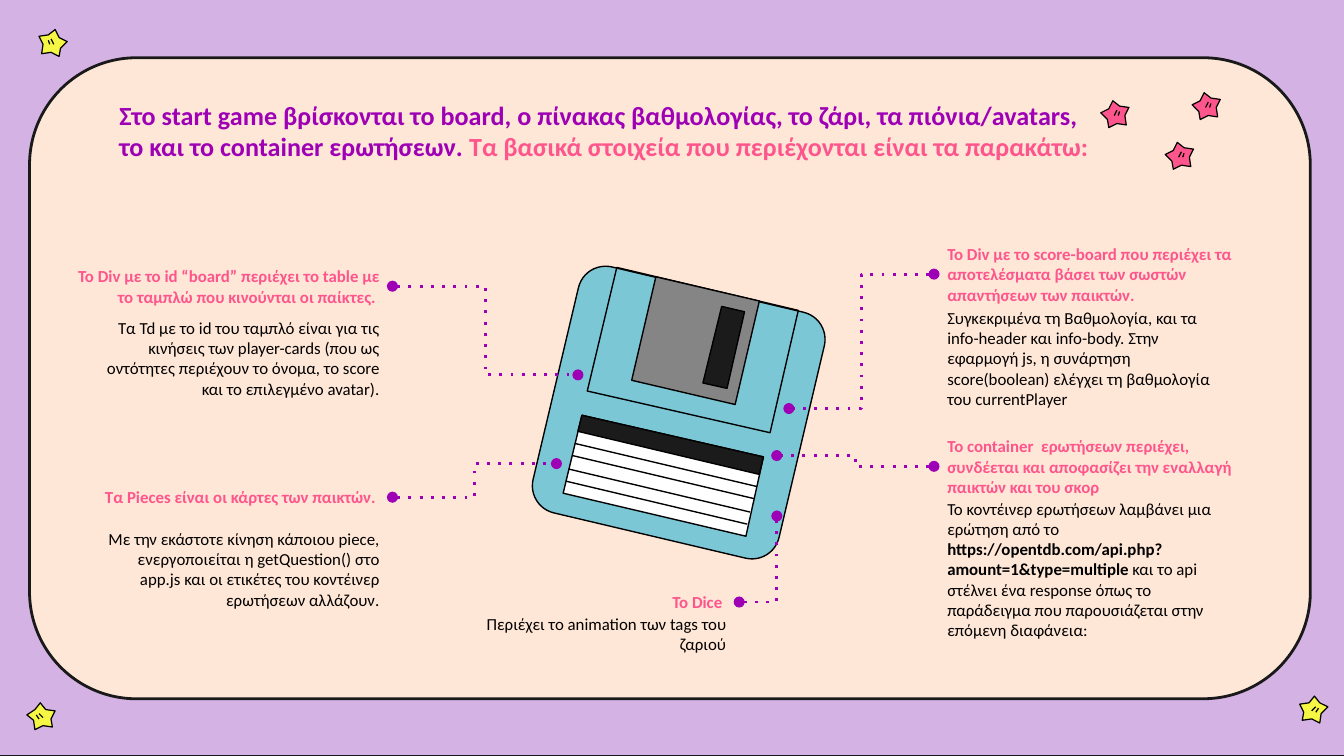
from dataclasses import dataclass
from math import cos, radians, sin

from lxml import etree
from pptx import Presentation
from pptx.dml.color import RGBColor
from pptx.enum.shapes import MSO_CONNECTOR, MSO_SHAPE
from pptx.enum.text import MSO_ANCHOR, PP_ALIGN
from pptx.oxml.ns import qn
from pptx.util import Pt

PX = 9144
SLIDE_WIDTH = 1000 * PX
ROUNDED = MSO_SHAPE.ROUNDED_RECTANGLE
STRAIGHT, ELBOW = MSO_CONNECTOR.STRAIGHT, MSO_CONNECTOR.ELBOW
MIDDLE = MSO_ANCHOR.MIDDLE
LEFT, RIGHT = PP_ALIGN.LEFT, PP_ALIGN.RIGHT
LEFT_SITE, RIGHT_SITE = 1, 3
COLORS = {
    "lilac": "D4B2E4", "peach": "FFE7D7", "ink": "191919", "black": "000000",
    "yellow": "F6F645", "pink": "FE558C", "purple": "9E00B5", "disk": "7BC7D6",
    "metal": "858585", "slot": "1B1B1B", "white": "FFFFFF",
}
STAR_WIDTH = 21
STAR_POINTS = [(9, 0), (14, 4), (21, 5), (18, 11), (19, 18),
               (12, 17), (6, 20), (5, 14), (0, 9), (6, 6)]
STAR_EYES = [[(14, 8), (13, 11)], [(12, 7), (10, 11)]]


@dataclass
class Star:
    left: int
    top: int
    color: str
    mirrored: bool = False
    rotation: float = 0


@dataclass
class DiskPart:
    color: str | None
    corners: list[tuple[int, int]]


@dataclass
class Callout:
    heading: str
    heading_box: tuple[int, int, int, int]
    body: list[tuple[str, bool]]
    body_box: tuple[int, int, int, int]
    align: PP_ALIGN
    target: tuple[int, int]
    geometry: str = "bentConnector3"


STARS = [
    Star(29, 22, "yellow", mirrored=True),
    Star(966, 518, "yellow", rotation=17.8),
    Star(21, 523, "yellow", mirrored=True, rotation=-18.6),
    Star(887, 69, "pink"), Star(819, 75, "pink"), Star(867, 106, "pink"),
]
DISK_PARTS = [
    DiskPart(None, [(459, 199), (594, 231), (573, 322), (437, 291)]),
    DiskPart("metal", [(488, 206), (470, 283), (547, 301), (565, 224)]),
    DiskPart("slot", [(537, 228), (523, 285), (541, 289), (554, 232)]),
    DiskPart("white", [(433, 309), (419, 367), (555, 399), (568, 340)]),
    DiskPart("slot", [(433, 309), (430, 321), (565, 353), (568, 340)]),
]
TITLE = [
    ("Στο start game βρίσκονται το board, o πίνακας βαθμολογίας, το ζάρι, τα πιόνια/avatars, "
     "το και το container ερωτήσεων. ", "purple", True),
    ("Τα βασικά στοιχεία που περιέχονται είναι τα παρακάτω:", "pink", True),
]
CALLOUTS = [
    Callout("Το Div με το id “board” περιέχει το table με το ταμπλώ που κινούνται οι παίκτες. ",
            (43, 184, 249, 58),
            [("Τα Td με το id του ταμπλό είναι για τις κινήσεις των player-cards (που ως οντότητες "
              "περιέχουν το όνομα, το score και το επιλεγμένο avatar).", False)],
            (66, 240, 226, 53), RIGHT, (430, 279)),
    Callout("To Div με το score-board που περιέχει τα αποτελέσματα βάσει των σωστών απαντήσεων "
            "των παικτών.",
            (695, 166, 249, 76),
            [("Συγκεκριμένα τη Βαθμολογία, και τα info-header και info-body. Στην εφαρμογή js, "
              "η συνάρτηση score(boolean) ελέγχει τη βαθμολογία του currentPlayer", False)],
            (695, 240, 226, 53), LEFT, (587, 304)),
    Callout("Τα Pieces είναι οι κάρτες των παικτών. ",
            (43, 341, 249, 58),
            [("Με την εκάστοτε κίνηση κάποιου piece, ενεργοποιείται η getQuestion() στο app.js "
              "και οι ετικέτες του κοντέινερ ερωτήσεων αλλάζουν.", False)],
            (66, 397, 226, 53), RIGHT, (414, 345)),
    Callout("Το container  ερωτήσεων περιέχει, συνδέεται και αποφασίζει την εναλλαγή παικτών "
            "και του σκορ",
            (695, 310, 249, 74),
            [("Το κοντέινερ ερωτήσεων λαμβάνει μια ερώτηση από τo ", False),
             ("https://opentdb.com/api.php?amount=1&type=multiple ", True),
             ("και το api στέλνει ένα response όπως το παράδειγμα που παρουσιάζεται στην "
              "επόμενη διαφάνεια:", False)],
            (695, 397, 226, 53), LEFT, (578, 339)),
    Callout("Το Dice ", (301, 419, 249, 58),
            [("Περιέχει το animation των tags του ζαριού", False)],
            (324, 445, 226, 53), RIGHT, (578, 384), "bentConnector2"),
]


def rgb(name: str) -> RGBColor:
    return RGBColor.from_string(COLORS[name])


def paint(shape, fill: str | None, line: str, width: float) -> None:
    if fill:
        shape.fill.solid()
        shape.fill.fore_color.rgb = rgb(fill)
    else:
        shape.fill.background()
    shape.line.color.rgb = rgb(line)
    shape.line.width = Pt(width)
    shape.shadow.inherit = False


def add_panel(shapes, box: tuple[int, int, int, int], fill: str, line: str,
              width: float, radius: float, rotation: float = 0) -> None:
    panel = shapes.add_shape(ROUNDED, *(side * PX for side in box))
    panel.adjustments[0] = radius
    panel.rotation = rotation
    paint(panel, fill, line, width)


def add_outline(shapes, points: list[tuple[int, int]], fill: str | None,
                width: float, close: bool = True) -> None:
    builder = shapes.build_freeform(*points[0], scale=PX)
    builder.add_line_segments(points[1:], close=close)
    paint(builder.convert_to_shape(), fill, "black", width)


def add_star(shapes, star: Star) -> None:
    middle = STAR_WIDTH / 2
    turn = radians(star.rotation)

    def place(points: list[tuple[int, int]]) -> list[tuple[int, int]]:
        offsets = [(middle - x if star.mirrored else x - middle, y - middle) for x, y in points]
        return [(round(star.left + middle + x * cos(turn) - y * sin(turn)),
                 round(star.top + middle + x * sin(turn) + y * cos(turn)))
                for x, y in offsets]

    add_outline(shapes, place(STAR_POINTS), star.color, 0.64)
    for eye in STAR_EYES:
        add_outline(shapes, place(eye), None, 0.64, close=False)


def add_line(shapes, kind: MSO_CONNECTOR, start: tuple[int, int], end: tuple[int, int],
             color: str, width: float):
    line = shapes.add_connector(kind, *(value * PX for value in (*start, *end)))
    line.line.color.rgb = rgb(color)
    line.line.width = Pt(width)
    etree.SubElement(line._element.spPr, qn("a:effectLst"))
    return line


def add_text(shapes, box: tuple[int, int, int, int], runs: list[tuple[str, str, bool]], *,
             size: int = 9, align: PP_ALIGN = LEFT):
    label = shapes.add_textbox(*(side * PX for side in box))
    frame = label.text_frame
    frame.word_wrap = True
    frame.vertical_anchor = MIDDLE
    frame.margin_left = frame.margin_right = frame.margin_top = frame.margin_bottom = 10 * PX
    paragraph = frame.paragraphs[0]
    paragraph.alignment = align
    for text, color, bold in runs:
        run = paragraph.add_run()
        run.text = text
        run.font.name = "Calibri"
        run.font.size = Pt(size)
        run.font.bold = bold
        run.font.color.rgb = rgb(color)
    return label


def add_callout(shapes, callout: Callout) -> None:
    heading = add_text(shapes, callout.heading_box, [(callout.heading, "pink", True)],
                       align=callout.align)
    add_text(shapes, callout.body_box, [(text, "black", bold) for text, bold in callout.body],
             align=callout.align)
    leader = add_line(shapes, ELBOW, callout.heading_box[:2], callout.target, "purple", 1.5)
    leader.begin_connect(heading, RIGHT_SITE if callout.align == RIGHT else LEFT_SITE)
    properties = leader._element.spPr
    properties.find(qn("a:prstGeom")).set("prst", callout.geometry)
    stroke = properties.find(qn("a:ln"))
    etree.SubElement(stroke, qn("a:prstDash"), val="dot")
    for tip in ("a:headEnd", "a:tailEnd"):
        etree.SubElement(stroke, qn(tip), type="oval")


def main() -> None:
    """Build the slide that explains the parts of the game screen."""
    deck = Presentation()
    deck.slide_width, deck.slide_height = SLIDE_WIDTH, SLIDE_WIDTH * 9 // 16
    shapes = deck.slides.add_slide(deck.slide_layouts[6]).shapes
    add_panel(shapes, (-3, -2, 1018, 564), "lilac", "ink", 0.75, 0)
    add_panel(shapes, (22, 43, 953, 477), "peach", "ink", 1.5, 0.167)
    for star in STARS:
        add_star(shapes, star)
    add_text(shapes, (79, 64, 744, 66), TITLE, size=14)
    add_panel(shapes, (411, 213, 188, 188), "disk", "black", 0.75, 0.11, rotation=13.3)
    for part in DISK_PARTS:
        add_outline(shapes, part.corners, part.color, 0.75)
    for row in range(4):
        left, top = 428 - round(row * 2.3), 330 + round(row * 9.4)
        add_line(shapes, STRAIGHT, (left, top), (left + 135, top + 32), "black", 0.75)
    for callout in CALLOUTS:
        add_callout(shapes, callout)
    deck.save("out.pptx")


if __name__ == "__main__":
    main()
